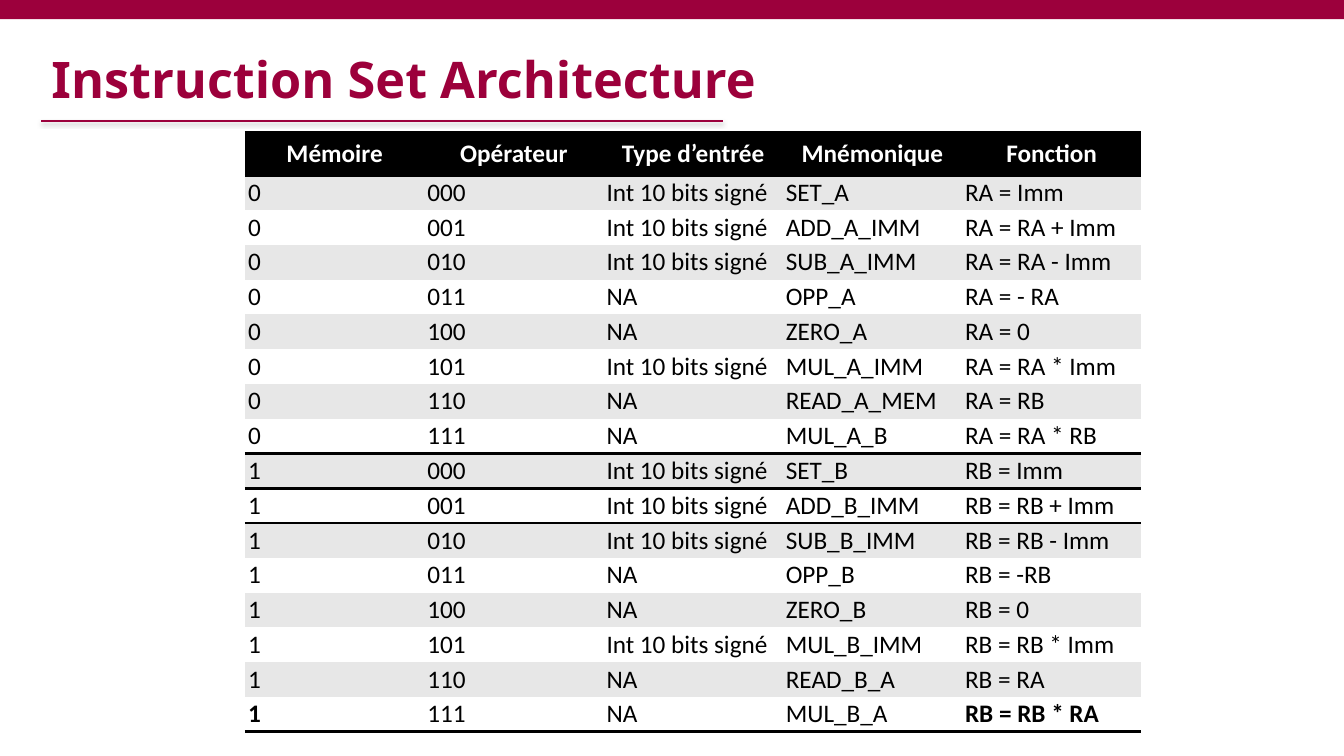
"""Build the Instruction Set Architecture slide."""
from lxml import etree
from pptx import Presentation
from pptx import util as u
from pptx.dml.color import RGBColor
from pptx.enum import shapes, text
from pptx.oxml import parse_xml
from pptx.oxml.ns import nsdecls, qn

TITLE = "Instruction Set Architecture"
HEADERS = ("Mémoire", "Opérateur", "Type d’entrée", "Mnémonique", "Fonction")
IMMEDIATE, NONE = "Int 10 bits signé", "NA"
INSTRUCTIONS = (
    ("0", "000", IMMEDIATE, "SET_A", "RA = Imm"),
    ("0", "001", IMMEDIATE, "ADD_A_IMM", "RA = RA + Imm"),
    ("0", "010", IMMEDIATE, "SUB_A_IMM", "RA = RA - Imm"),
    ("0", "011", NONE, "OPP_A", "RA = - RA"),
    ("0", "100", NONE, "ZERO_A", "RA = 0"),
    ("0", "101", IMMEDIATE, "MUL_A_IMM", "RA = RA * Imm"),
    ("0", "110", NONE, "READ_A_MEM", "RA = RB"),
    ("0", "111", NONE, "MUL_A_B", "RA = RA * RB"),
    ("1", "000", IMMEDIATE, "SET_B", "RB = Imm"),
    ("1", "001", IMMEDIATE, "ADD_B_IMM", "RB = RB + Imm"),
    ("1", "010", IMMEDIATE, "SUB_B_IMM", "RB = RB - Imm"),
    ("1", "011", NONE, "OPP_B", "RB = -RB"),
    ("1", "100", NONE, "ZERO_B", "RB = 0"),
    ("1", "101", IMMEDIATE, "MUL_B_IMM", "RB = RB * Imm"),
    ("1", "110", NONE, "READ_B_A", "RB = RA"),
    ("1", "111", NONE, "MUL_B_A", "RB = RB * RA"),
)
COLORS = {"accent": "9C003C", "title": "9C003B", "black": "000000",
          "white": "FFFFFF", "band": "E7E7E7"}
BORDERS = {0: {"lnT": 2, "lnB": 2}, 8: {"lnB": 2.25},
           9: {"lnT": 2.25, "lnB": 2.25}, 10: {"lnT": 2.25}, 16: {"lnB": 2}}
BOLD_CELLS = {(16, 0), (16, 4)}
PLAIN_TABLE_STYLE = "{2D5ABB26-0587-4C30-8999-92F81FD0307C}"
HEADER_HEIGHT, ROW_HEIGHT = 0.43, 0.34


def color(name):
    return RGBColor.from_string(COLORS[name])


def write(frame, content, *, font="Calibri", size=18, ink="black", bold=False,
          align=text.PP_ALIGN.LEFT):
    paragraph = frame.paragraphs[0]
    paragraph.alignment = align
    run = paragraph.add_run()
    run.text = content
    run.font.name, run.font.size, run.font.bold = font, u.Pt(size), bold
    run.font.color.rgb = color(ink)


def add_border(properties, side, width):
    properties.append(parse_xml(
        f'<a:{side} {nsdecls("a")} w="{u.Pt(width)}"><a:solidFill>'
        f'<a:srgbClr val="{COLORS["black"]}"/></a:solidFill></a:{side}>'))


def add_title(slide):
    title = slide.shapes.title
    title.left, title.top = u.Inches(0.41), u.Inches(0.35)
    title.width, title.height = u.Inches(12.92), u.Inches(0.85)
    frame = title.text_frame
    frame.auto_size = text.MSO_AUTO_SIZE.NONE
    frame.vertical_anchor = text.MSO_ANCHOR.MIDDLE
    write(frame, TITLE, font="Noto Sans", size=36, ink="title", bold=True)


def add_decoration(slide):
    bar = slide.shapes.add_shape(shapes.MSO_SHAPE.RECTANGLE, 0, 0,
                                 u.Inches(13.33), u.Inches(0.19))
    bar.shadow.inherit = False
    bar.fill.solid()
    bar.fill.fore_color.rgb = color("accent")
    bar.line.fill.background()
    rule = slide.shapes.add_connector(
        shapes.MSO_CONNECTOR.STRAIGHT,
        u.Inches(0.41), u.Inches(1.2), u.Inches(7.17), u.Inches(1.2))
    rule.line.color.rgb = color("accent")
    rule.line.width = u.Pt(1)
    effects = etree.SubElement(rule.element.spPr, qn("a:effectLst"))
    effects.append(parse_xml(
        f'<a:outerShdw {nsdecls("a")} blurRad="{u.Pt(3.1)}" dist="{u.Pt(1.6)}" '
        f'dir="5400000" rotWithShape="0"><a:srgbClr val="{COLORS["black"]}">'
        '<a:alpha val="38000"/></a:srgbClr></a:outerShdw>'))


def format_cell(cell, content, row, column):
    header = row == 0
    if not header:
        cell.margin_left = cell.margin_right = u.Inches(0.03)
        cell.margin_top = cell.margin_bottom = u.Inches(0.02)
    cell.vertical_anchor = (text.MSO_ANCHOR.BOTTOM if content and row > 8
                            else text.MSO_ANCHOR.MIDDLE)
    properties = cell.text_frame._txBody.getparent().get_or_add_tcPr()
    for side, width in BORDERS.get(row, {}).items():
        add_border(properties, side, width)
    cell.fill.solid()
    cell.fill.fore_color.rgb = color(
        "black" if header else "band" if row % 2 else "white")
    write(cell.text_frame, content, ink="white" if header else "black",
          bold=header or (row, column) in BOLD_CELLS,
          align=text.PP_ALIGN.CENTER if header else text.PP_ALIGN.LEFT)


def add_instruction_table(slide):
    rows = (HEADERS, *INSTRUCTIONS)
    height = HEADER_HEIGHT + ROW_HEIGHT * len(INSTRUCTIONS)
    shape = slide.shapes.add_table(len(rows), len(HEADERS), u.Inches(2.43),
                                   u.Inches(1.31), u.Inches(8.89), u.Inches(height))
    table = shape.table
    table.horz_banding = False
    next(shape.element.iter(qn("a:tableStyleId"))).text = PLAIN_TABLE_STYLE
    for row, values in enumerate(rows):
        table.rows[row].height = u.Inches(ROW_HEIGHT if row else HEADER_HEIGHT)
        for column, content in enumerate(values):
            format_cell(table.cell(row, column), content, row, column)


def main():
    presentation = Presentation()
    presentation.slide_width = u.Inches(13.33)
    presentation.slide_height = u.Inches(7.5)
    slide = presentation.slides.add_slide(presentation.slide_layouts[5])
    add_decoration(slide)
    add_title(slide)
    add_instruction_table(slide)
    presentation.save("out.pptx")


if __name__ == "__main__":
    main()
